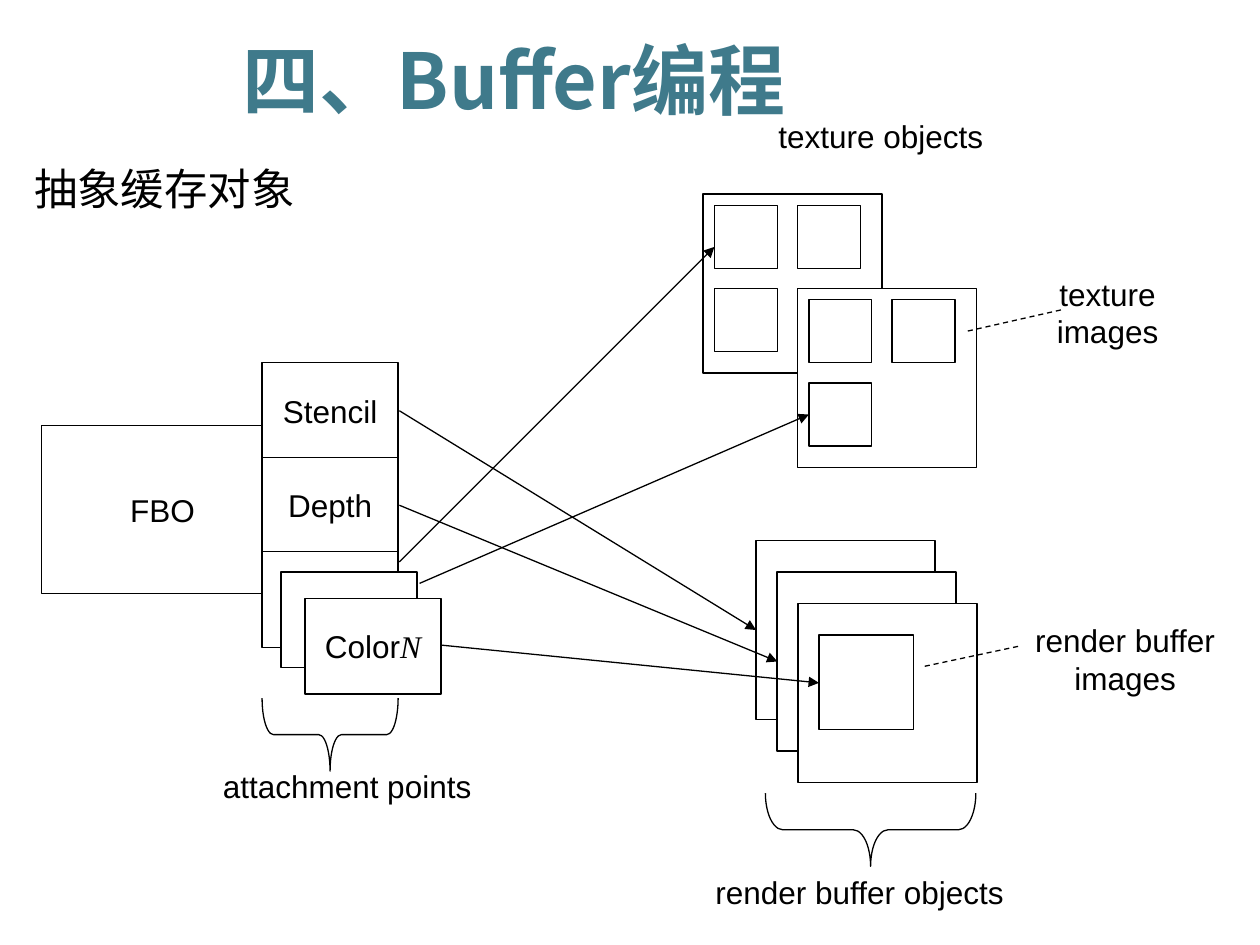
from lxml import etree
from pptx import Presentation
from pptx.dml.color import RGBColor
from pptx.enum import dml, shapes, text
from pptx.oxml.ns import qn
from pptx.util import Inches, Pt

COLORS = {"ink": "000000", "paper": "FFFFFF", "heading": "3F7A8B"}
CJK, LATIN, SERIF = "Noto Sans CJK SC", "Arial", "Times New Roman"

# Content: lengths in inches
HEADING = "四、Buffer编程"
SUBTITLE = "抽象缓存对象"
FBO = ("FBO", 0.33, 3.38, 1.92, 1.33)
ATTACHMENTS = [  # label, left, top
    ("Stencil", 2.08, 2.88), ("Depth", 2.08, 3.63), ("", 2.08, 4.38),
    ("", 2.23, 4.54), ("ColorN", 2.42, 4.75),
]
ATTACHMENT_SIZE = (1.08, 0.76)
OBJECT_SIDE = 1.42
TEXTURES = [(5.58, 1.54), (6.33, 2.29)]
TEXTURE_IMAGE_SIDE, TEXTURE_PITCH, TEXTURE_MARGIN = 0.5, 0.66, 0.09
TEXTURE_CELLS = [(0, 0), (1, 0), (0, 1)]
RENDER_BUFFERS = [(6 + i / 6, 4.29 + i / 4) for i in range(3)]
RENDER_IMAGE = (6.5, 5.04, 0.75, 0.75)
BRACES = [  # left, top, width, height before turning, curvature
    (2.33, 5.29, 0.58, 1.08, 0.155), (6.62, 5.75, 0.58, 1.67, 0.238),
]
LABELS = [  # lines, left, top, width, height
    (["attachment points"], 1.67, 6.04, 2.17, 0.4),
    (["render buffer objects"], 5.58, 6.88, 2.49, 0.4),
    (["render buffer", "images"], 8.08, 4.88, 1.7, 0.7),
    (["texture objects"], 6.08, 0.88, 1.83, 0.4),
    (["texture", "images"], 8.25, 2.13, 1.08, 0.7),
]
LINKS = [  # attachment point to image
    ((3.5, 5.12), (6.5, 5.42)), ((3.17, 4.01), (6.17, 5.25)),
    ((3.17, 3.26), (6, 5)), ((3.33, 4.63), (6.42, 3.29)),
    ((3.17, 4.46), (5.67, 1.96)),
]
LEADERS = [((8.08, 5.13), (7.33, 5.29)), ((8.42, 2.46), (7.67, 2.63))]


def rgb(name):
    return RGBColor.from_string(COLORS[name])


def style_run(run, size=18, face=LATIN, color="ink", bold=False, italic=False):
    font = run.font
    font.size, font.name, font.bold, font.italic = Pt(size), face, bold, italic
    font.color.rgb = rgb(color)
    if face == CJK:
        latin = run._r.get_or_add_rPr().find(qn("a:latin"))
        east_asian = etree.Element(qn("a:ea"), typeface=face)
        latin.addnext(east_asian)


def outline(shape):
    shape.line.color.rgb = rgb("ink")
    shape.line.width = Pt(0.75)


def add_box(parent, left, top, width, height, label="", filled=True):
    box = parent.shapes.add_shape(
        shapes.MSO_SHAPE.RECTANGLE, *map(Inches, (left, top, width, height)))
    box.shadow.inherit = False
    outline(box)
    if filled:
        box.fill.solid()
        box.fill.fore_color.rgb = rgb("paper")
    else:
        box.fill.background()
    if label:
        frame = box.text_frame
        frame.word_wrap = False
        frame.vertical_anchor = text.MSO_ANCHOR.MIDDLE
        paragraph = frame.paragraphs[0]
        paragraph.alignment = text.PP_ALIGN.CENTER
        # The index N is set as a variable
        stem, index = (label[:-1], "N") if label.endswith("N") else (label, "")
        for part, face in ((stem, LATIN), (index, SERIF)):
            if part:
                run = paragraph.add_run()
                run.text = part
                style_run(run, face=face, italic=face == SERIF)


def add_label(slide, lines, left, top, width, height):
    box = slide.shapes.add_textbox(*map(Inches, (left, top, width, height)))
    frame = box.text_frame
    frame.word_wrap = False
    frame.auto_size = text.MSO_AUTO_SIZE.SHAPE_TO_FIT_TEXT
    frame.text = "\n".join(lines)
    for paragraph in frame.paragraphs:
        if len(lines) > 1:
            paragraph.alignment = text.PP_ALIGN.CENTER
        style_run(paragraph.runs[0])


def add_brace(slide, left, top, width, height, curvature):
    brace = slide.shapes.add_shape(
        shapes.MSO_SHAPE.LEFT_BRACE, *map(Inches, (left, top, width, height)))
    brace.rotation = 270
    brace.adjustments[0], brace.adjustments[1] = curvature, 0.5
    brace.shadow.inherit = False
    brace.fill.background()
    outline(brace)


def add_line(slide, start, end, arrow=False):
    line = slide.shapes.add_connector(
        shapes.MSO_CONNECTOR.STRAIGHT, *map(Inches, start + end))
    outline(line)
    if arrow:
        etree.SubElement(line.line._get_or_add_ln(), qn("a:tailEnd"), type="triangle")
    else:
        line.line.dash_style = dml.MSO_LINE.DASH
    etree.SubElement(line._element.spPr, qn("a:effectLst"))


def add_titles(slide):
    subtitle = slide.shapes.title
    subtitle.left, subtitle.top, subtitle.width, subtitle.height = map(
        Inches, (0.17, 0.83, 9, 1.25))
    heading = slide.shapes.add_textbox(*map(Inches, (-0.59, 0.13, 9.34, 0.99)))
    for box, words, align in ((subtitle, SUBTITLE, text.PP_ALIGN.LEFT),
                              (heading, HEADING, text.PP_ALIGN.CENTER)):
        frame = box.text_frame
        frame.text = words
        frame.word_wrap = True
        frame.vertical_anchor = text.MSO_ANCHOR.MIDDLE
        frame.paragraphs[0].alignment = align
    subtitle.text_frame.paragraphs[0].line_spacing = 1.2
    style_run(subtitle.text_frame.paragraphs[0].runs[0], 24.8, CJK)
    style_run(heading.text_frame.paragraphs[0].runs[0], 44, CJK, "heading", bold=True)


def main():
    deck = Presentation()
    deck.slide_width, deck.slide_height = Inches(10), Inches(7.5)
    slide = deck.slides.add_slide(deck.slide_layouts[5])
    add_titles(slide)

    # Framebuffer object and its attachment points
    framebuffer = slide.shapes.add_group_shape()
    name, *place = FBO
    add_box(framebuffer, *place, label=name, filled=False)
    for label, left, top in ATTACHMENTS:
        add_box(framebuffer, left, top, *ATTACHMENT_SIZE, label=label)

    # Render buffer objects
    for left, top in RENDER_BUFFERS:
        add_box(slide, left, top, OBJECT_SIDE, OBJECT_SIDE)
    add_box(slide, *RENDER_IMAGE)

    # Texture objects with their images
    for left, top in TEXTURES:
        texture = slide.shapes.add_group_shape()
        add_box(texture, left, top, OBJECT_SIDE, OBJECT_SIDE)
        for column, row in TEXTURE_CELLS:
            add_box(texture, left + TEXTURE_MARGIN + column * TEXTURE_PITCH,
                    top + TEXTURE_MARGIN + row * TEXTURE_PITCH,
                    TEXTURE_IMAGE_SIDE, TEXTURE_IMAGE_SIDE)

    # Braces, labels and lines
    for brace in BRACES:
        add_brace(slide, *brace)
    for label in LABELS:
        add_label(slide, *label)
    for start, end in LINKS:
        add_line(slide, start, end, arrow=True)
    for start, end in LEADERS:
        add_line(slide, start, end)

    deck.save("out.pptx")


if __name__ == "__main__":
    main()
